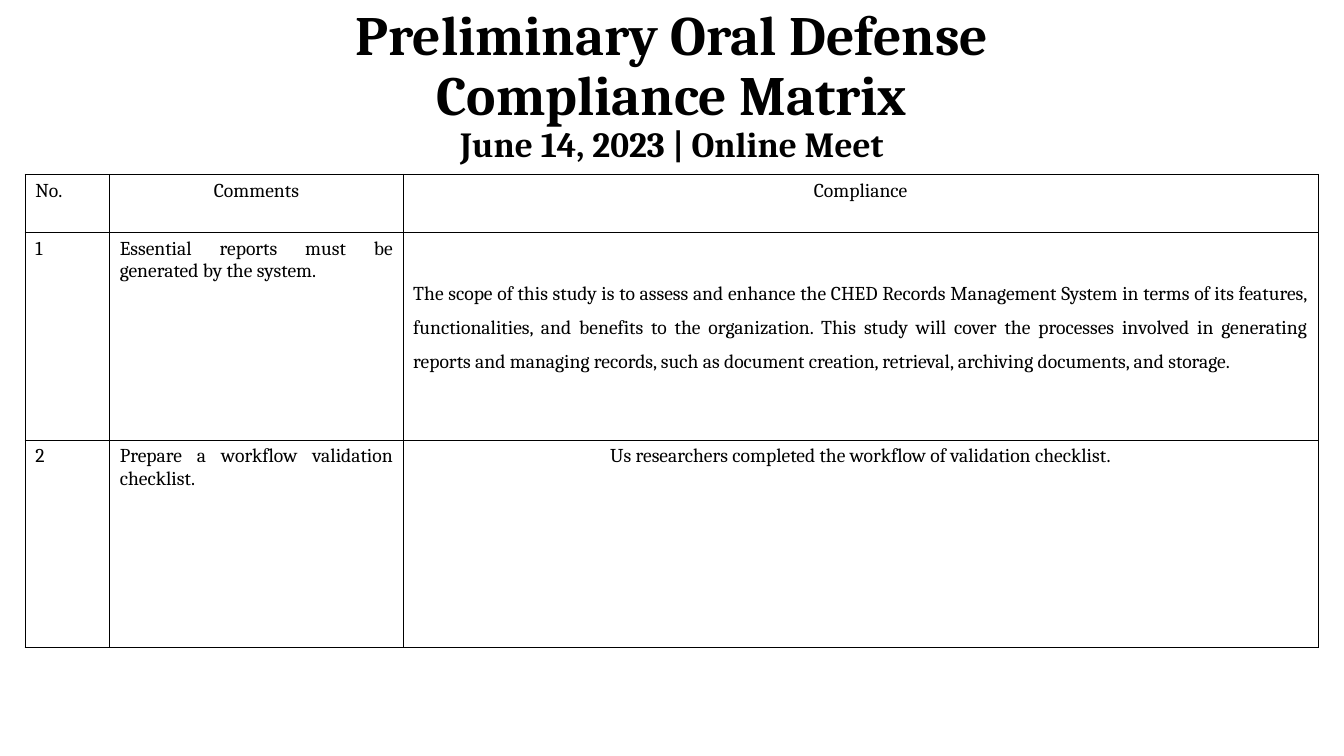
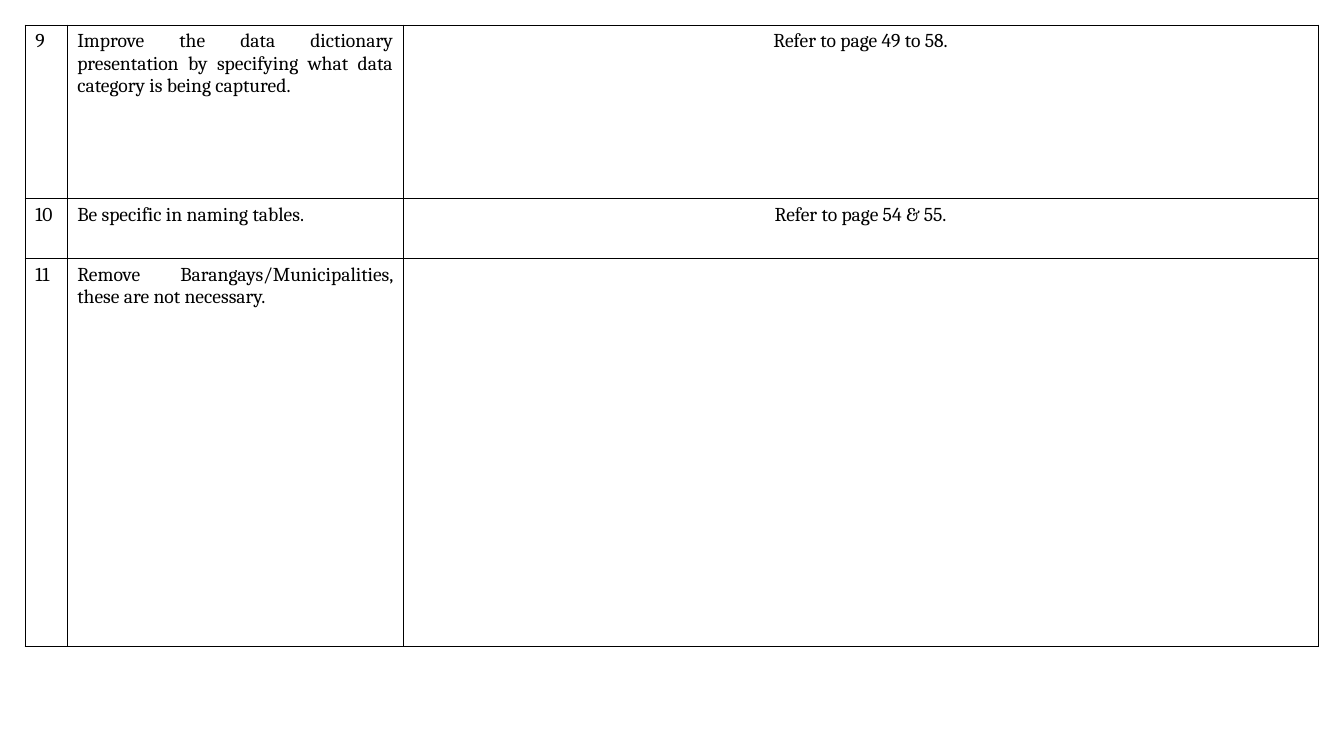
import dataclasses

import pptx
import pptx.dml.color
import pptx.enum.text
import pptx.oxml
import pptx.oxml.ns
import pptx.util

Pt = pptx.util.Pt
Align = pptx.enum.text.PP_ALIGN
Anchor = pptx.enum.text.MSO_ANCHOR


@dataclasses.dataclass(frozen=True)
class Theme:
    font: str = "Cambria"
    ink: str = "000000"
    title: float = 39.6
    subtitle: float = 25.2
    body: float = 14
    border: float = 1


class Deck:
    width, height = 960, 540
    left = 18
    number_and_comment = 270
    compliance = 653.6

    def __init__(self, theme):
        self.theme = theme
        self.prs = pptx.Presentation()
        self.prs.slide_width = Pt(self.width)
        self.prs.slide_height = Pt(self.height)
        self.s = None

    def slide(self):
        self.s = self.prs.slides.add_slide(self.prs.slide_layouts[6])

    def apply(self, target, formats):
        for name, value in formats.items():
            setattr(target, name, value)

    def run(self, p, text, size, bold=False):
        r = p.add_run()
        r.text = text
        self.apply(r.font, {"name": self.theme.font, "size": Pt(size), "bold": bold})
        r.font.color.rgb = pptx.dml.color.RGBColor.from_string(self.theme.ink)

    def title(self, lines, subtitle):
        sp = self.s.shapes.add_textbox(Pt(66), Pt(9.4), Pt(828), Pt(104.4))
        tf = sp.text_frame
        self.apply(tf, {"word_wrap": True, "vertical_anchor": Anchor.MIDDLE})
        p = tf.paragraphs[0]
        self.apply(p, {"alignment": Align.CENTER, "line_spacing": 0.9})
        for line in lines:
            self.run(p, line, self.theme.title, True)
            p.add_line_break()
        self.run(p, subtitle, self.theme.subtitle, True)

    def borders(self, cell):
        tcPr = cell._tc.get_or_add_tcPr()
        for side in ("lnL", "lnR", "lnT", "lnB"):
            tcPr.append(pptx.oxml.parse_xml(
                f'<a:{side} {pptx.oxml.ns.nsdecls("a")} w="{Pt(self.theme.border)}">'
                f'<a:solidFill><a:srgbClr val="{self.theme.ink}"/></a:solidFill></a:{side}>'))

    def cell(self, cell, text, alignment, formats):
        self.borders(cell)
        cell.fill.background()
        p = cell.text_frame.paragraphs[0]
        p.alignment = alignment
        if text:
            self.run(p, text, self.theme.body)
        for target, values in zip((cell, p), formats):
            self.apply(target, values)

    def table(self, top, number_width, heights, rows, header=False, special=None):
        widths = (number_width, self.number_and_comment - number_width, self.compliance)
        table = self.s.shapes.add_table(
            len(rows), len(widths), Pt(self.left), Pt(top),
            Pt(sum(widths)), Pt(sum(heights))).table
        self.apply(table, {"first_row": False, "horz_banding": False})
        for column, width in zip(table.columns, widths):
            column.width = Pt(width)
        for i, (row, height) in enumerate(zip(rows, heights)):
            table.rows[i].height = Pt(height)
            middle = Align.CENTER if header and i == 0 else Align.JUSTIFY
            for j, (text, alignment) in enumerate(zip(row, (Align.LEFT, middle, Align.CENTER))):
                formats = (special or {}).get((i, j), ())
                self.cell(table.cell(i, j), text, alignment, formats)


def main():
    deck = Deck(Theme())

    deck.slide()
    scope = ({"margin_top": Pt(28)}, {"alignment": Align.JUSTIFY, "line_spacing": 1.5})
    deck.table(124.6, 60.4, (41.6, 148.2, 148.2), (
        ("No.", "Comments", "Compliance"),
        ("1", "Essential reports must be generated by the system.",
         "The scope of this study is to assess and enhance the CHED Records Management "
         "System in terms of its features, functionalities, and benefits to the "
         "organization. This study will cover the processes involved in generating "
         "reports and managing records, such as document creation, retrieval, "
         "archiving documents, and storage."),
        ("2", "Prepare a workflow validation checklist.",
         "Us researchers completed the workflow of validation checklist."),
    ), header=True, special={(1, 2): scope})
    deck.title(("Preliminary Oral Defense", "Compliance Matrix"),
               "June 14, 2023 | Online Meet")

    deck.slide()
    deck.table(18, 30, (123.8, 43, 277.2), (
        ("9", "Improve the data dictionary presentation by specifying what data "
         "category is being captured.", "Refer to page 49 to 58."),
        ("10", "Be specific in naming tables.", "Refer to page 54 & 55."),
        ("11", "Remove Barangays/Municipalities, these are not necessary.", ""),
    ))

    deck.prs.save("out.pptx")


if __name__ == "__main__":
    main()
